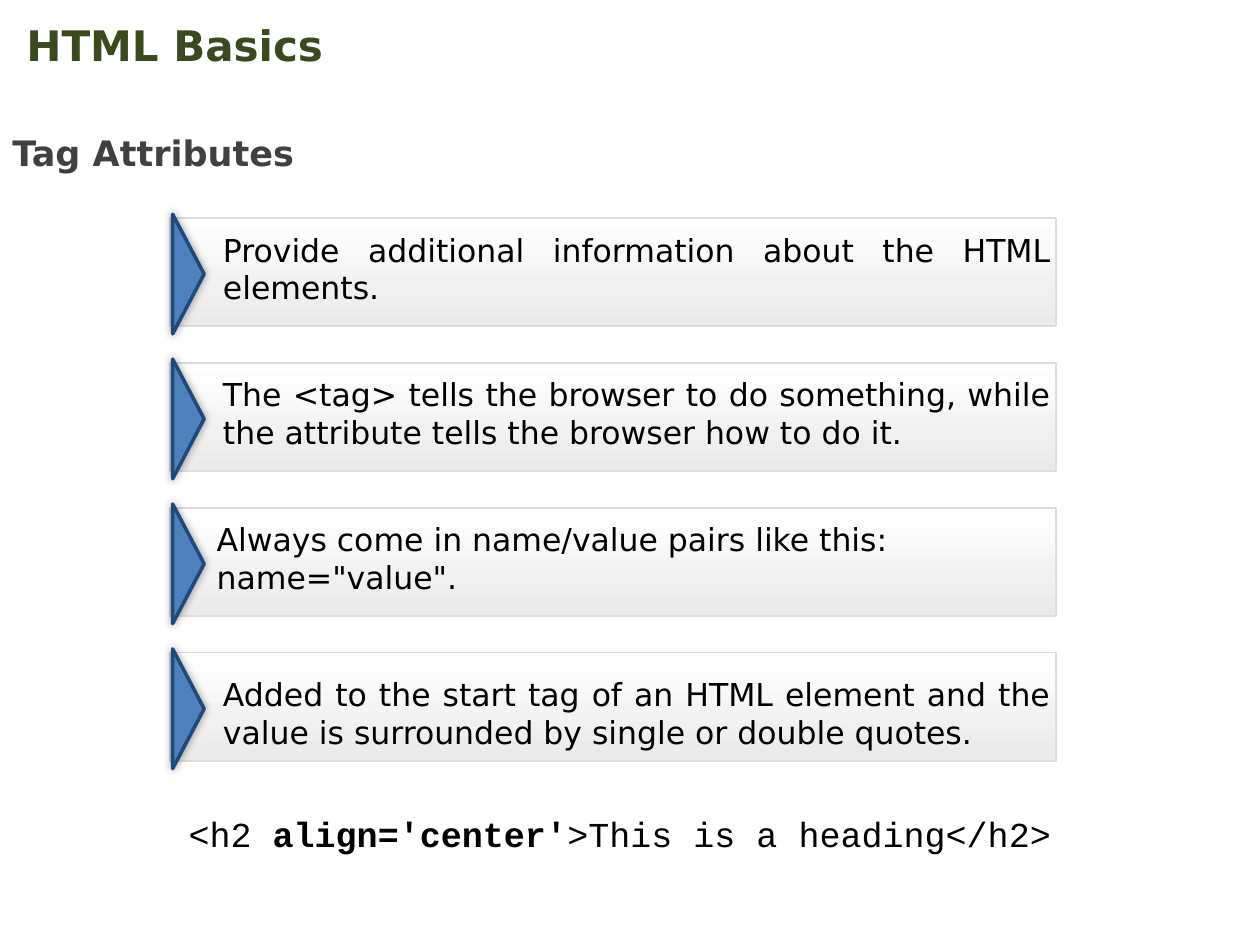
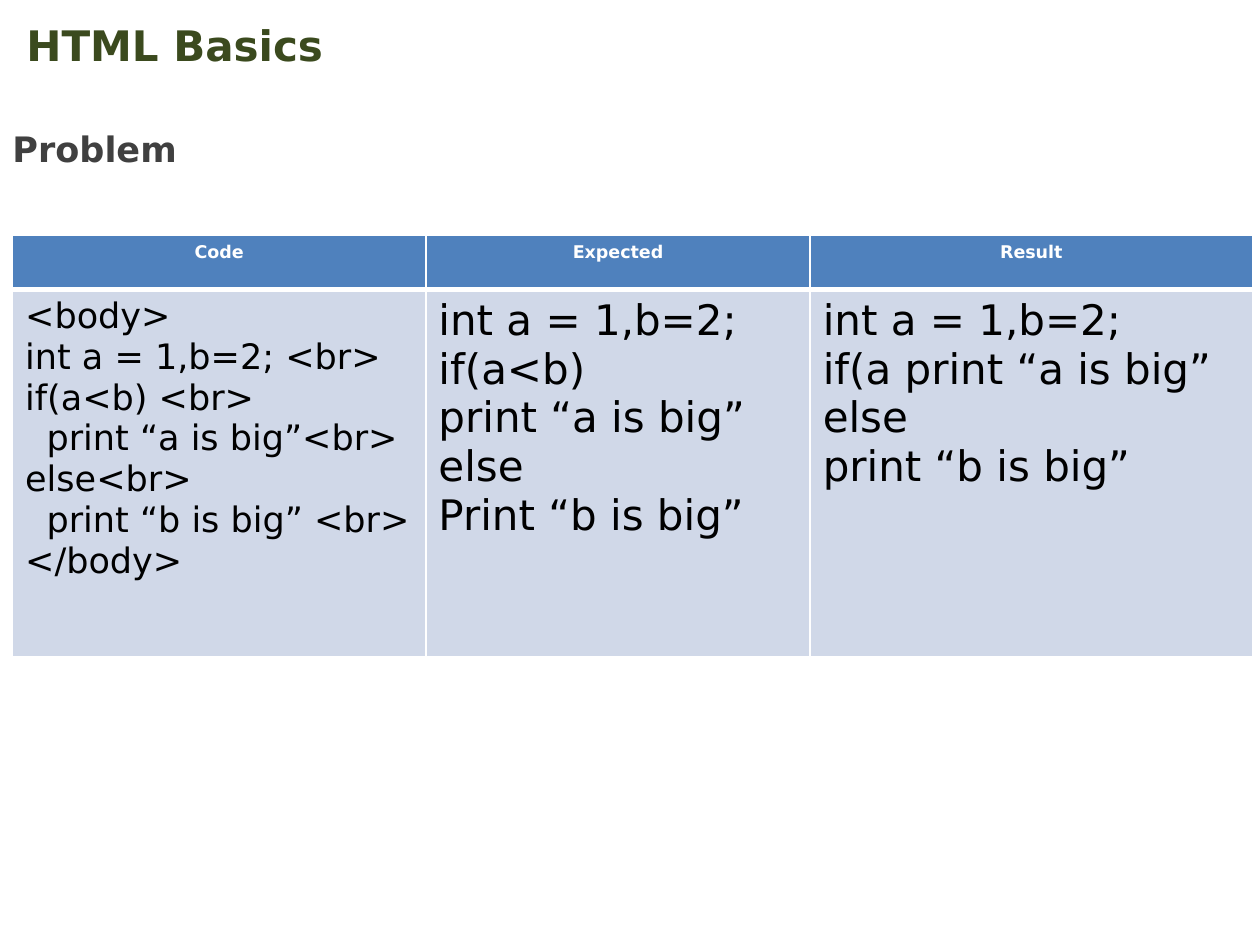
import lxml.etree
import pptx
import pptx.dml.color
import pptx.enum.shapes
import pptx.enum.text
import pptx.oxml
import pptx.oxml.ns
import pptx.util

Inches = pptx.util.Inches
Pt = pptx.util.Pt
SHAPE = pptx.enum.shapes.MSO_SHAPE
ALIGN = pptx.enum.text.PP_ALIGN
ANCHOR = pptx.enum.text.MSO_ANCHOR
qn = pptx.oxml.ns.qn

COLORS = {
    "title": "3B4A1E",
    "heading": "404040",
    "text": "000000",
    "white": "FFFFFF",
    "bar_end": "EAEAEA",
    "bar_line": "DDDDDD",
    "accent": "4F81BD",
    "accent_line": "1F497D",
    "table_body": "D0D8E8",
}
SANS = "DejaVu Sans"
MONO = "Courier New"

# text, left inset, vertical anchor, bottom inset
ATTRIBUTE_FACTS = [
    ("Provide additional information about the HTML elements.",
     0.42, ALIGN.JUSTIFY, ANCHOR.MIDDLE, 0.06),
    ("The <tag> tells the browser to do something, while the attribute "
     "tells the browser how to do it.",
     0.42, ALIGN.JUSTIFY, ANCHOR.MIDDLE, 0.06),
    ('Always come in name/value pairs like this: name="value".',
     0.37, ALIGN.LEFT, ANCHOR.MIDDLE, 0.06),
    ("Added to the start tag of an HTML element and the value is surrounded "
     "by single or double quotes.",
     0.42, ALIGN.JUSTIFY, ANCHOR.BOTTOM, 0.08),
]

# heading, column width, text size, lines as (text, indent)
PROBLEM_COLUMNS = [
    ("Code", 3.28, 20, [
        ("<body>", 0), ("int a = 1,b=2; <br>", 0), ("if(a<b) <br>", 0),
        ("print “a is big”<br>", 0.17), ("else<br>", 0),
        ("print “b is big” <br>", 0.17), ("</body>", 0)]),
    ("Expected", 3.05, 24, [
        ("int a = 1,b=2;", 0), ("if(a<b)", 0), ("print “a is big”", 0),
        ("else", 0), ("Print “b is big”", 0)]),
    ("Result", 3.51, 24, [
        ("int a = 1,b=2;", 0), ("if(a print “a is big”", 0),
        ("else", 0), ("print “b is big”", 0)]),
]


def rgb(name):
    return pptx.dml.color.RGBColor.from_string(COLORS[name])


def add_run(paragraph, text, size, color="text", bold=False, font=SANS):
    run = paragraph.add_run()
    run.text = text
    run.font.size = Pt(size)
    run.font.name = font
    run.font.bold = bold
    run.font.color.rgb = rgb(color)


def add_text_box(slide, left, top, width, height):
    """Add a wrapping text box and return its first paragraph."""
    frame = slide.shapes.add_textbox(
        Inches(left), Inches(top), Inches(width), Inches(height)).text_frame
    frame.word_wrap = True
    return frame.paragraphs[0]


def add_titled_slide(prs, heading, heading_top, heading_width):
    slide = prs.slides.add_slide(prs.slide_layouts[5])
    title = slide.shapes.title
    title.left, title.top = Inches(0), Inches(0.14)
    title.width, title.height = Inches(9), Inches(0.43)
    frame = title.text_frame
    frame.auto_size = pptx.enum.text.MSO_AUTO_SIZE.NONE
    frame.vertical_anchor = ANCHOR.MIDDLE
    frame.margin_left = Inches(0.21)
    frame.paragraphs[0].alignment = ALIGN.LEFT
    add_run(frame.paragraphs[0], "HTML Basics", 24, "title", True)

    section = add_text_box(slide, 0, heading_top, heading_width, 0.54)
    section.line_spacing = 1.5
    add_run(section, heading, 20, "heading", True)
    return slide


def add_glow_shadow(shape):
    """Give the shape a soft 40 % black shadow with no offset."""
    shape.shadow.inherit = False
    effects = shape._element.spPr.find(qn("a:effectLst"))
    shadow = lxml.etree.SubElement(
        effects, qn("a:outerShdw"), blurRad=str(Pt(5)), dist="0", dir="0")
    black = lxml.etree.SubElement(shadow, qn("a:srgbClr"), val=COLORS["text"])
    lxml.etree.SubElement(black, qn("a:alpha"), val="40000")


def add_fact_bar(slide, left, top, fact):
    text, inset, alignment, anchor, bottom_inset = fact
    group = slide.shapes.add_group_shape()
    bar = group.shapes.add_shape(
        SHAPE.RECTANGLE, Inches(left), Inches(top), Inches(7.03), Inches(0.86))
    bar.shadow.inherit = False
    bar.fill.gradient()
    bar.fill.gradient_angle = 270
    for stop, color in zip(bar.fill.gradient_stops, ("white", "bar_end")):
        stop.color.rgb = rgb(color)
    bar.line.color.rgb = rgb("bar_line")
    bar.line.width = Pt(1)

    frame = bar.text_frame
    frame.word_wrap = True
    frame.vertical_anchor = anchor
    frame.margin_left, frame.margin_right = Inches(inset), Inches(0.04)
    frame.margin_top, frame.margin_bottom = Inches(0), Inches(bottom_inset)
    frame.paragraphs[0].alignment = alignment
    add_run(frame.paragraphs[0], text, 18)

    pointer = group.shapes.add_shape(
        SHAPE.ISOSCELES_TRIANGLE, Inches(left - 0.33), Inches(top + 0.32),
        Inches(0.95), Inches(0.25))
    pointer.rotation = 90
    pointer.fill.solid()
    pointer.fill.fore_color.rgb = rgb("accent")
    pointer.line.color.rgb = rgb("accent_line")
    pointer.line.width = Pt(2)
    add_glow_shadow(pointer)


def add_attributes_slide(prs):
    slide = add_titled_slide(prs, "Tag Attributes", 0.83, 3.85)
    for row, fact in enumerate(ATTRIBUTE_FACTS):
        add_fact_bar(slide, 1.35, 1.73 + 1.15 * row, fact)
    example = add_text_box(slide, 1.33, 6.4, 7.18, 0.44)
    example.alignment = ALIGN.CENTER
    add_run(example, "<h2 ", 20, font=MONO)
    add_run(example, "align='center'", 20, bold=True, font=MONO)
    add_run(example, ">This is a heading</h2>", 20, font=MONO)


def style_cell(cell, fill, top_width, bottom_width):
    """Fill the cell and draw white borders of the given widths in points."""
    properties = cell._tc.get_or_add_tcPr()
    sides = {"lnL": 1, "lnR": 1, "lnT": top_width, "lnB": bottom_width}
    for side, width in sides.items():
        line = lxml.etree.SubElement(
            properties, qn("a:" + side), w=str(Pt(width)))
        solid = lxml.etree.SubElement(line, qn("a:solidFill"))
        lxml.etree.SubElement(solid, qn("a:srgbClr"), val=COLORS["white"])
    cell.fill.solid()
    cell.fill.fore_color.rgb = rgb(fill)


def add_problem_table(slide, left, top):
    widths = [width for _, width, _, _ in PROBLEM_COLUMNS]
    table = slide.shapes.add_table(
        2, len(widths), Inches(left), Inches(top),
        Inches(sum(widths)), Inches(3.34)).table
    table.rows[0].height, table.rows[1].height = Inches(0.43), Inches(2.91)

    for index, (heading, width, size, lines) in enumerate(PROBLEM_COLUMNS):
        table.columns[index].width = Inches(width)
        header, body = table.cell(0, index), table.cell(1, index)
        style_cell(header, "accent", 1, 3)
        style_cell(body, "table_body", 3, 1)
        label = header.text_frame.paragraphs[0]
        label.alignment = ALIGN.CENTER
        add_run(label, heading, 10, "white", True)
        for number, (text, indent) in enumerate(lines):
            frame = body.text_frame
            line = frame.add_paragraph() if number else frame.paragraphs[0]
            if indent:
                line._p.get_or_add_pPr().set("marL", str(Inches(indent)))
            add_run(line, text, size)


def main():
    prs = pptx.Presentation()
    prs.slide_width, prs.slide_height = Inches(10), Inches(7.5)
    add_attributes_slide(prs)
    add_problem_table(add_titled_slide(prs, "Problem", 0.8, 2.11), 0.1, 1.87)
    prs.save("out.pptx")


if __name__ == "__main__":
    main()
